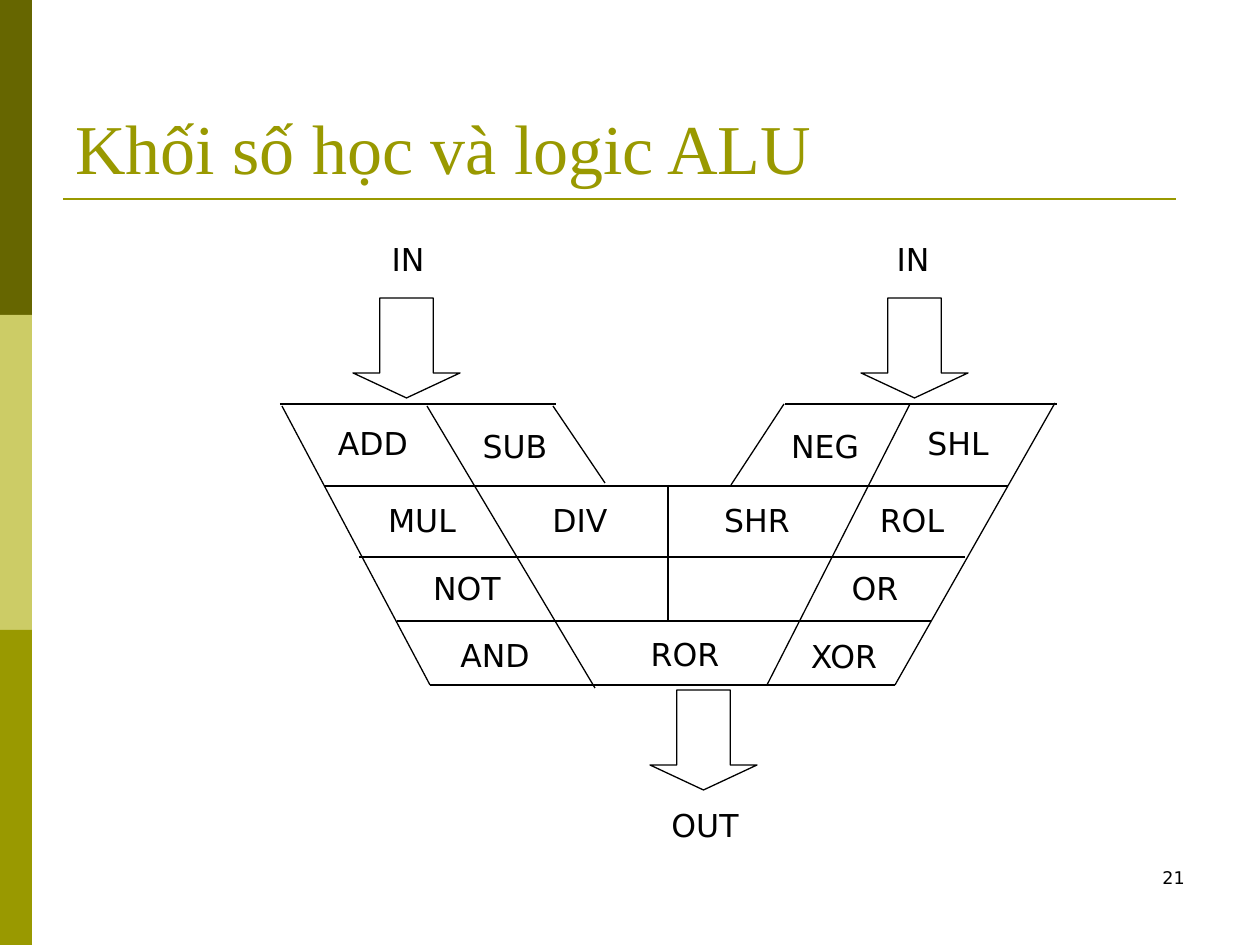
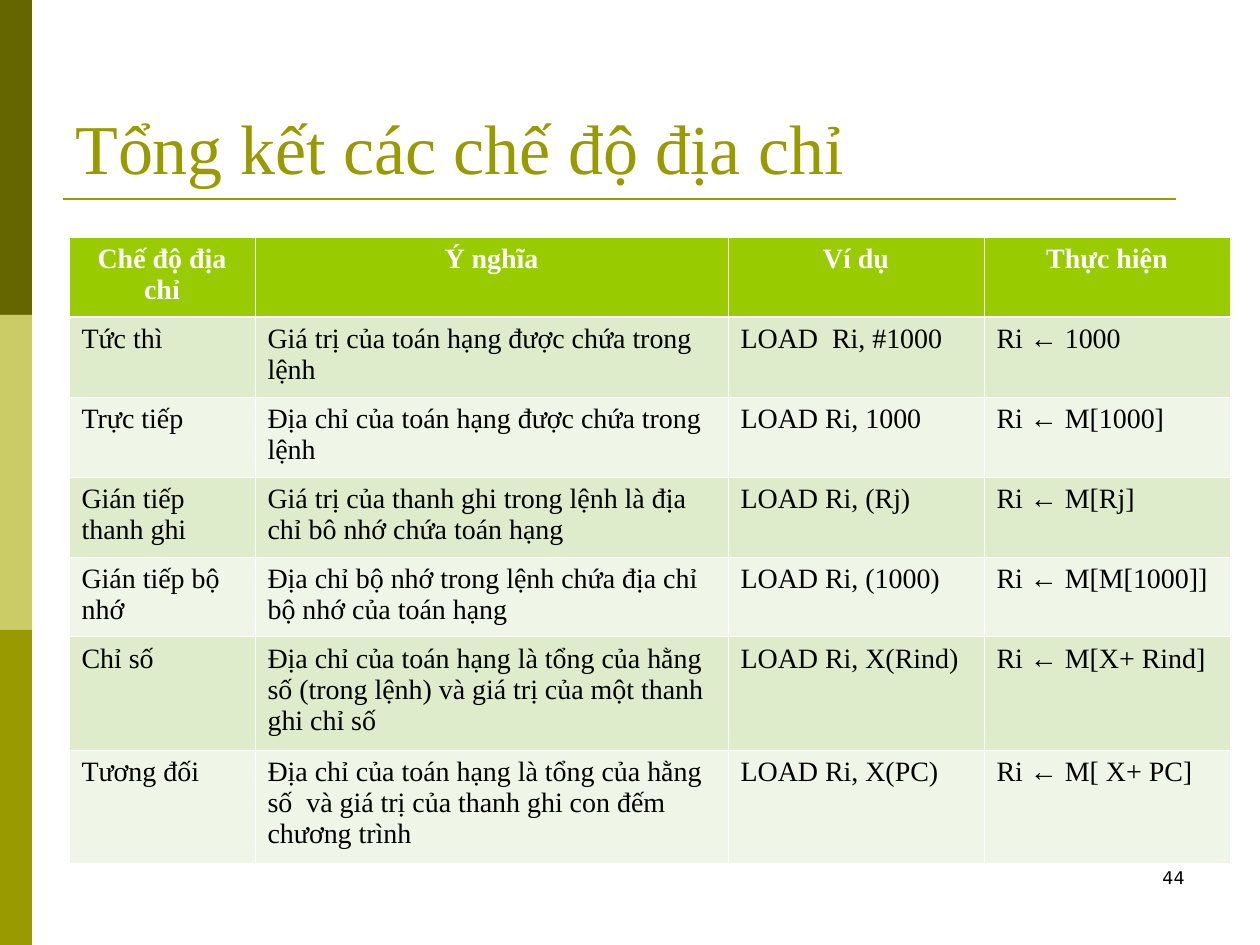
from lxml import etree
from pptx import Presentation
from pptx import util as u
from pptx.dml.color import RGBColor
from pptx.enum import shapes as kinds, text
from pptx.oxml import ns

EMU_PER_PX = 914400 / 126
SLIDE_W, SLIDE_H = 1260, 945
COLORS = {
    "dark_olive": "666600",
    "pale_olive": "CCCC66",
    "olive": "999900",
    "black": "000000",
    "white": "FFFFFF",
    "header": "99CC00",
    "odd_row": "DEECCB",
    "even_row": "EFF6E7",
}
SERIF, SANS, SYMBOL = "Times New Roman", "DejaVu Sans", "Arial"
ARROW = "←"

LABEL_W, LABEL_H = 110, 50
OPERATIONS = [
    ("ADD", 318, 418), ("SUB", 460, 421), ("NEG", 770, 421), ("SHL", 903, 418),
    ("MUL", 367, 495), ("DIV", 525, 495), ("SHR", 702, 495), ("ROL", 857, 495),
    ("NOT", 412, 563), ("OR", 820, 563),
    ("AND", 440, 630), ("ROR", 630, 629), ("XOR", 789, 631),
]
PORTS = [("IN", 353, 234), ("IN", 858, 234), ("OUT", 650, 800)]
DATA_ARROWS = [(353, 298), (861, 298), (650, 690)]
LEVELS = [  # left, right, y
    (280, 556, 404), (785, 1057, 404), (325, 1008, 486),
    (359, 965, 557), (397, 931, 621), (430, 895, 685),
]
SIDES = [  # start x, y, end x, y
    (282, 406, 430, 685), (427, 406, 595, 688), (553, 406, 605, 483),
    (784, 404, 731, 485), (910, 404, 767, 685), (1055, 403, 895, 685),
    (668, 485, 668, 621),
]

COLUMN_WIDTHS = [186, 473, 256, 246]
ROW_HEIGHTS = [80] * 5 + [113] * 2
ADDRESS_MODES = [
    ("Chế độ địa chỉ", "Ý nghĩa", "Ví dụ", "Thực hiện"),
    ("Tức thì", "Giá trị của toán hạng được chứa trong lệnh",
     "LOAD  Ri, #1000", "Ri ← 1000"),
    ("Trực tiếp", "Địa chỉ của toán hạng được chứa trong lệnh",
     "LOAD Ri, 1000", "Ri ← M[1000]"),
    ("Gián tiếp thanh ghi",
     "Giá trị của thanh ghi trong lệnh là địa chỉ bô nhớ chứa toán hạng",
     "LOAD Ri, (Rj)", "Ri ← M[Rj]"),
    ("Gián tiếp bộ nhớ",
     "Địa chỉ bộ nhớ trong lệnh chứa địa chỉ bộ nhớ của toán hạng",
     "LOAD Ri, (1000)", "Ri ← M[M[1000]]"),
    ("Chỉ số",
     "Địa chỉ của toán hạng là tổng của hằng số (trong lệnh) "
     "và giá trị của một thanh ghi chỉ số",
     "LOAD Ri, X(Rind)", "Ri ← M[X+ Rind]"),
    ("Tương đối",
     "Địa chỉ của toán hạng là tổng của hằng số  "
     "và giá trị của thanh ghi con đếm chương trình",
     "LOAD Ri, X(PC)", "Ri ← M[ X+ PC]"),
]


def px(*lengths):
    return [u.Emu(round(length * EMU_PER_PX)) for length in lengths]


def rgb(color):
    return RGBColor.from_string(COLORS[color])


def style_run(run, font, size, color, bold=False):
    run.font.name = font
    run.font.size = u.Pt(size)
    run.font.color.rgb = rgb(color)
    run.font.bold = bold


def add_label(shapes, words, box, size, font=SANS, color="black",
              align=text.PP_ALIGN.CENTER, anchor=text.MSO_ANCHOR.TOP):
    frame = shapes.add_textbox(*px(*box)).text_frame
    frame.word_wrap = True
    frame.vertical_anchor = anchor
    frame.text = words
    paragraph = frame.paragraphs[0]
    paragraph.alignment = align
    style_run(paragraph.runs[0], font, size, color)


def add_line(shapes, ends, color="black", width=0.75):
    line = shapes.add_connector(kinds.MSO_CONNECTOR.STRAIGHT, *px(*ends))
    line.line.color.rgb = rgb(color)
    line.line.width = u.Pt(width)
    etree.SubElement(line._element.spPr, ns.qn("a:effectLst"))


def add_band(shapes, top, color):
    band = shapes.add_shape(kinds.MSO_SHAPE.RECTANGLE,
                            *px(0, top, 32, SLIDE_H // 3))
    band.shadow.inherit = False
    band.fill.solid()
    band.fill.fore_color.rgb = rgb(color)
    band.line.fill.background()


def add_data_arrow(shapes, left, top):
    arrow = shapes.add_shape(kinds.MSO_SHAPE.DOWN_ARROW,
                             *px(left, top, 107, 100))
    arrow.adjustments[0], arrow.adjustments[1] = 0.5, 0.25
    arrow.shadow.inherit = False
    arrow.fill.background()
    arrow.line.color.rgb = rgb("black")
    arrow.line.width = u.Pt(0.75)


def add_framed_slide(deck, title, number):
    """Add a slide with the side bands, ruled title and slide number."""
    slide = deck.slides.add_slide(deck.slide_layouts[6])
    shapes = slide.shapes
    for i, color in enumerate(("dark_olive", "pale_olive", "olive")):
        add_band(shapes, i * SLIDE_H // 3, color)
    add_line(shapes, (63, 199, 1176, 199), "olive", 1.5)
    add_label(shapes, str(number), (903, 861, 294, 63), 10,
              align=text.PP_ALIGN.RIGHT)
    add_label(shapes, title, (63, 38, 1134, 157), 40, SERIF, "olive",
              text.PP_ALIGN.LEFT, text.MSO_ANCHOR.BOTTOM)
    return slide


def draw_alu(slide):
    shapes = slide.shapes.add_group_shape().shapes
    for left, right, y in LEVELS:
        add_line(shapes, (left, y, right, y))
    for side in SIDES:
        add_line(shapes, side)
    for left, top in DATA_ARROWS:
        add_data_arrow(shapes, left, top)
    for words, left, top in OPERATIONS + PORTS:
        add_label(shapes, words, (left, top, LABEL_W, LABEL_H), 18)


def set_borders(cell, **widths):
    """Draw white borders; widths are points keyed by side: L, R, T, B."""
    properties = cell._tc.get_or_add_tcPr()
    for side, width in widths.items():
        border = etree.SubElement(properties, ns.qn(f"a:ln{side}"),
                                  w=str(u.Pt(width)))
        fill = etree.SubElement(border, ns.qn("a:solidFill"))
        etree.SubElement(fill, ns.qn("a:srgbClr"), val=COLORS["white"])


def fill_cell(cell, words, row):
    is_header = row == 0
    set_borders(cell, L=0.45, R=0.45, T=1.47 if row == 1 else 0.45,
                B=1.47 if is_header else 0.45)
    cell.fill.solid()
    cell.fill.fore_color.rgb = rgb(
        "header" if is_header else "odd_row" if row % 2 else "even_row")
    paragraph = cell.text_frame.paragraphs[0]
    if is_header:
        paragraph.alignment = text.PP_ALIGN.CENTER
    for part in filter(None, words.partition(ARROW)):
        run = paragraph.add_run()
        run.text = part
        style_run(run, SYMBOL if part == ARROW else SERIF, 16,
                  "white" if is_header else "black", is_header)


def add_mode_table(slide):
    box = px(69, 237, sum(COLUMN_WIDTHS), sum(ROW_HEIGHTS))
    modes = slide.shapes.add_table(len(ROW_HEIGHTS), len(COLUMN_WIDTHS),
                                   *box).table
    for column, width in zip(modes.columns, px(*COLUMN_WIDTHS)):
        column.width = width
    for row, height in zip(modes.rows, px(*ROW_HEIGHTS)):
        row.height = height
    for r, entries in enumerate(ADDRESS_MODES):
        for c, words in enumerate(entries):
            fill_cell(modes.cell(r, c), words, r)


def main():
    deck = Presentation()
    deck.slide_width, deck.slide_height = px(SLIDE_W, SLIDE_H)
    draw_alu(add_framed_slide(deck, "Khối số học và logic ALU", 21))
    add_mode_table(add_framed_slide(deck, "Tổng kết các chế độ địa chỉ", 44))
    deck.save("out.pptx")


if __name__ == "__main__":
    main()
